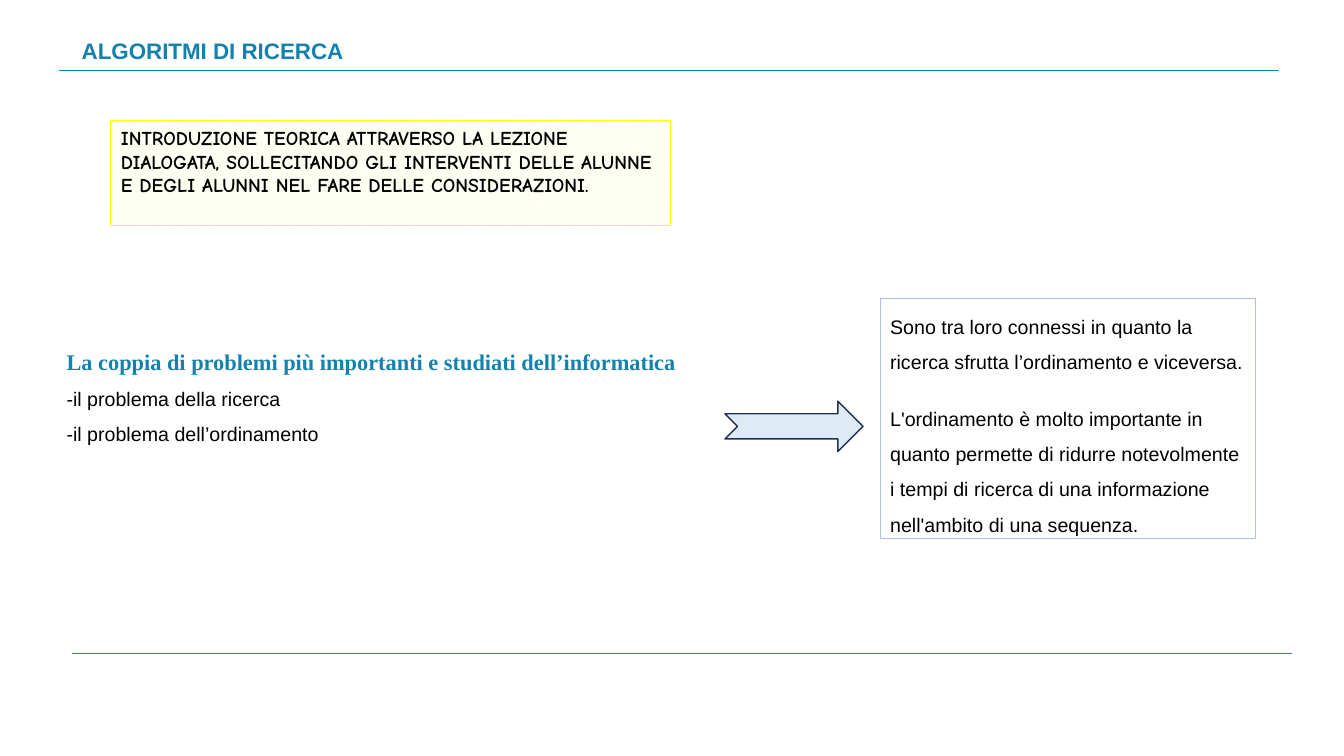
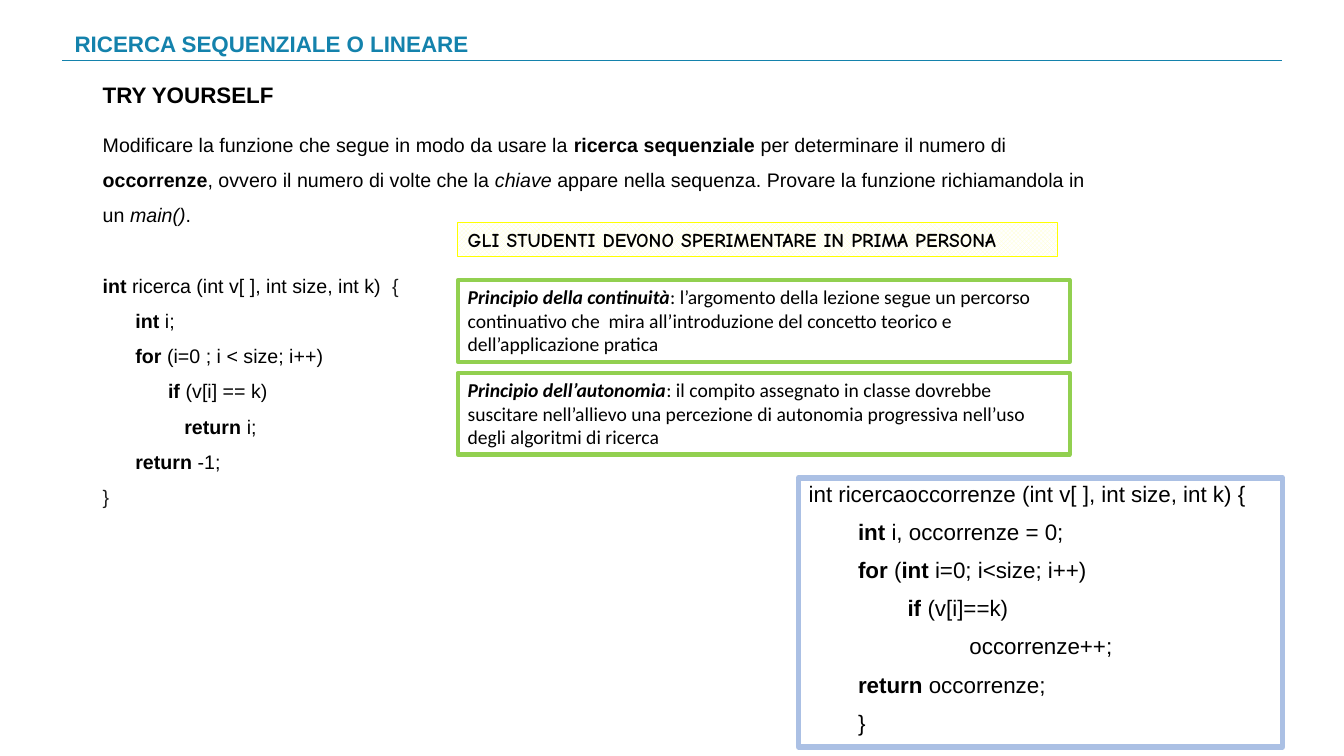
from lxml import etree
from pptx import Presentation
from pptx.dml.color import RGBColor
from pptx.enum.dml import MSO_PATTERN
from pptx.enum.shapes import MSO_CONNECTOR, MSO_SHAPE
from pptx.enum.text import MSO_ANCHOR, MSO_AUTO_SIZE, PP_ALIGN
from pptx.oxml.ns import qn
from pptx.util import Inches, Pt

RECT = MSO_SHAPE.RECTANGLE
ARROW = MSO_SHAPE.NOTCHED_RIGHT_ARROW
TRELLIS = MSO_PATTERN.TRELLIS
STRAIGHT = MSO_CONNECTOR.STRAIGHT
TOP, MIDDLE = MSO_ANCHOR.TOP, MSO_ANCHOR.MIDDLE
LEFT = PP_ALIGN.LEFT
NO_FIT = MSO_AUTO_SIZE.NONE

COLORS = {
    "teal": "1482AC", "black": "000000", "dark": "1F1F1F", "white": "FFFFFF",
    "sky": "ABC0E4", "pale": "DEEBF7", "navy": "1E3256", "blue": "4472C4",
    "cream": "FFFFCC", "yellow": "FFFF00", "green": "92D050",
}
RULE_W = 12.1

# Content: a paragraph is a list of (text, style) runs
# Styles: b bold, i italic, d dark grey, h serif heading
PAIR = [
    [("La coppia di problemi più importanti e studiati dell’informatica", "h")],
    [("-il problema della ricerca", "")],
    [("-il problema dell’ordinamento", "")],
]
LINKS = [
    [("Sono tra loro connessi in quanto la ricerca sfrutta l’ordinamento e viceversa.", "")],
    [("L'ordinamento è molto importante in quanto permette di ridurre notevolmente "
      "i tempi di ricerca di una informazione nell'ambito di una sequenza.", "")],
]
INTRO = ("INTRODUZIONE TEORICA ATTRAVERSO LA LEZIONE DIALOGATA, SOLLECITANDO GLI "
         "INTERVENTI DELLE ALUNNE E DEGLI ALUNNI NEL FARE DELLE CONSIDERAZIONI.")
TRY = "GLI STUDENTI DEVONO SPERIMENTARE IN PRIMA PERSONA"
TASK = [
    [("Modificare la funzione che segue in modo da usare la ", ""),
     ("ricerca sequenziale ", "b"),
     ("per determinare il numero di ", ""), ("occorrenze", "b"),
     (", ovvero il numero di volte che la ", ""), ("chiave", "i"),
     (" appare nella sequenza. Provare la funzione richiamandola in un ", ""),
     ("main()", "i"), (".", "")],
    [("int", "b"), (" ricerca (int v[ ], int size, int k)  ", ""), ("{", "d")],
    [("      int", "b"), (" i;", "")],
    [("      for", "b"), (" (i=0 ; i < size; i++)", "")],
    [("            if", "b"), (" (v[i] == k)", "")],
    [("               return", "b"), (" i;", "")],
    [("      return", "b"), (" -1;", "")],
    [("}", "d")],
]
ANSWER = [
    [("int ricercaoccorrenze (int v[ ], int size, int k) {", "")],
    [("int", "b"), (" i, occorrenze = 0;", "")],
    [("for", "b"), (" (", ""), ("int", "b"), (" i=0; i<size; i++)", "")],
    [("        if", "b"), (" (v[i]==k)", "")],
    [("                  occorrenze++;", "")],
    [("return", "b"), (" occorrenze;", "")],
    [("}", "")],
]
RULES = [
    ("Principio della continuità",
     ": l’argomento della lezione segue un percorso continuativo che  mira "
     "all’introduzione del concetto teorico e dell’applicazione pratica"),
    ("Principio dell’autonomia",
     ": il compito assegnato in classe dovrebbe suscitare nell’allievo una "
     "percezione di autonomia progressiva nell’uso degli algoritmi di ricerca"),
]


# Helpers
def color(name):
    return RGBColor.from_string(COLORS[name])


def place(shape, spot):
    shape.left, shape.top, shape.width, shape.height = map(Inches, spot)


def outline(item, name, width):
    item.line.color.rgb = color(name)
    item.line.width = Pt(width)


def write(shape, paras, size=14, face="Arial", tint="black", lead=1.0,
          gaps=None, indent=0, anchor=TOP):
    """Fill a shape; gaps maps paragraph number to space before."""
    frame = shape.text_frame
    frame.word_wrap = True
    frame.auto_size = NO_FIT
    frame.vertical_anchor = anchor
    for n, runs in enumerate(paras):
        para = frame.paragraphs[0] if n == 0 else frame.add_paragraph()
        props = para._p.get_or_add_pPr()
        props.set("marL", str(Inches(indent if n else 0)))
        props.set("indent", "0")
        etree.SubElement(props, qn("a:buNone"))
        para.alignment = LEFT
        para.line_spacing = lead
        para.space_before = Pt((gaps or {}).get(n, 0))
        para.space_after = Pt(0)
        for text, style in runs:
            run = para.add_run()
            run.text = text
            font = run.font
            head = "h" in style
            font.name = "Times New Roman" if head else face
            font.size = Pt(16 if head else size)
            font.bold = head or "b" in style
            font.italic = "i" in style
            font.color.rgb = color("teal" if head else "dark" if "d" in style else tint)


def text_box(slide, spot, paras, **look):
    write(slide.shapes.add_textbox(*map(Inches, spot)), paras, **look)


def frame_box(slide, spot, line, width, kind=RECT):
    shape = slide.shapes.add_shape(kind, *map(Inches, spot))
    shape.shadow.inherit = False
    shape.fill.background()
    outline(shape, line, width)
    return shape


def note(slide, spot, text):
    shape = frame_box(slide, spot, "yellow", 0.75)
    shape.fill.patterned()
    shape.fill.pattern = TRELLIS
    shape.fill.fore_color.rgb = color("cream")
    shape.fill.back_color.rgb = color("white")
    write(shape, [[(text, "b")]], face="Comic Neue")


def rule(slide, x, y, name):
    line = slide.shapes.add_connector(
        STRAIGHT, Inches(x), Inches(y), Inches(x + RULE_W), Inches(y))
    outline(line, name, 0.5)
    etree.SubElement(line._element.spPr, qn("a:effectLst"))


def start(deck, title, spot, x, y):
    """Add a slide with its title and the rule below it."""
    slide = deck.slides.add_slide(deck.slide_layouts[1])
    place(slide.shapes.title, spot)
    write(slide.shapes.title, [[(title, "b")]], size=16, tint="teal")
    rule(slide, x, y, "teal")
    return slide, slide.placeholders[1]


# Slides
def search(deck):
    slide, body = start(deck, "ALGORITMI DI RICERCA", (0.71, 0.32, 3.34, 0.37), 0.59, 0.7)
    place(body, (0.56, 3.27, 7.82, 1.17))
    write(body, PAIR, lead=1.5)
    links = frame_box(slide, (8.73, 2.96, 3.72, 2.38), "sky", 0.75)
    write(links, LINKS, lead=1.5, gaps={1: 15})
    arrow = frame_box(slide, (7.19, 3.98, 1.37, 0.5), "navy", 1, ARROW)
    arrow.fill.solid()
    arrow.fill.fore_color.rgb = color("pale")
    note(slide, (1.1, 1.2, 5.55, 1.04), INTRO)
    rule(slide, 0.71, 6.48, "blue")


def linear(deck):
    slide, body = start(deck, "RICERCA SEQUENZIALE O LINEARE",
                        (0.64, 0.25, 4.4, 0.37), 0.62, 0.6)
    text_box(slide, (0.92, 0.71, 1.93, 0.5), [[("TRY YOURSELF", "b")]],
             size=16, lead=0.9, anchor=MIDDLE)
    place(body, (7.92, 4.74, 4.8, 2.67))
    outline(body, "sky", 4)
    write(body, ANSWER, size=16, lead=0.9, indent=0.49,
          gaps={n: 10 for n in range(1, len(ANSWER))})
    text_box(slide, (0.92, 1.15, 10.19, 3.94), TASK, lead=1.5, gaps={1: 25})
    note(slide, (4.54, 2.21, 5.95, 0.34), TRY)
    for n, (name, text) in enumerate(RULES):
        card = frame_box(slide, (4.54, 2.78 + n * 0.92, 6.07, 0.81), "green", 3)
        write(card, [[(name, "bi"), (text, "")]], face="Calibri")


def main():
    deck = Presentation()
    deck.slide_width, deck.slide_height = Inches(13.33), Inches(7.5)
    search(deck)
    linear(deck)
    deck.save("out.pptx")


if __name__ == "__main__":
    main()
